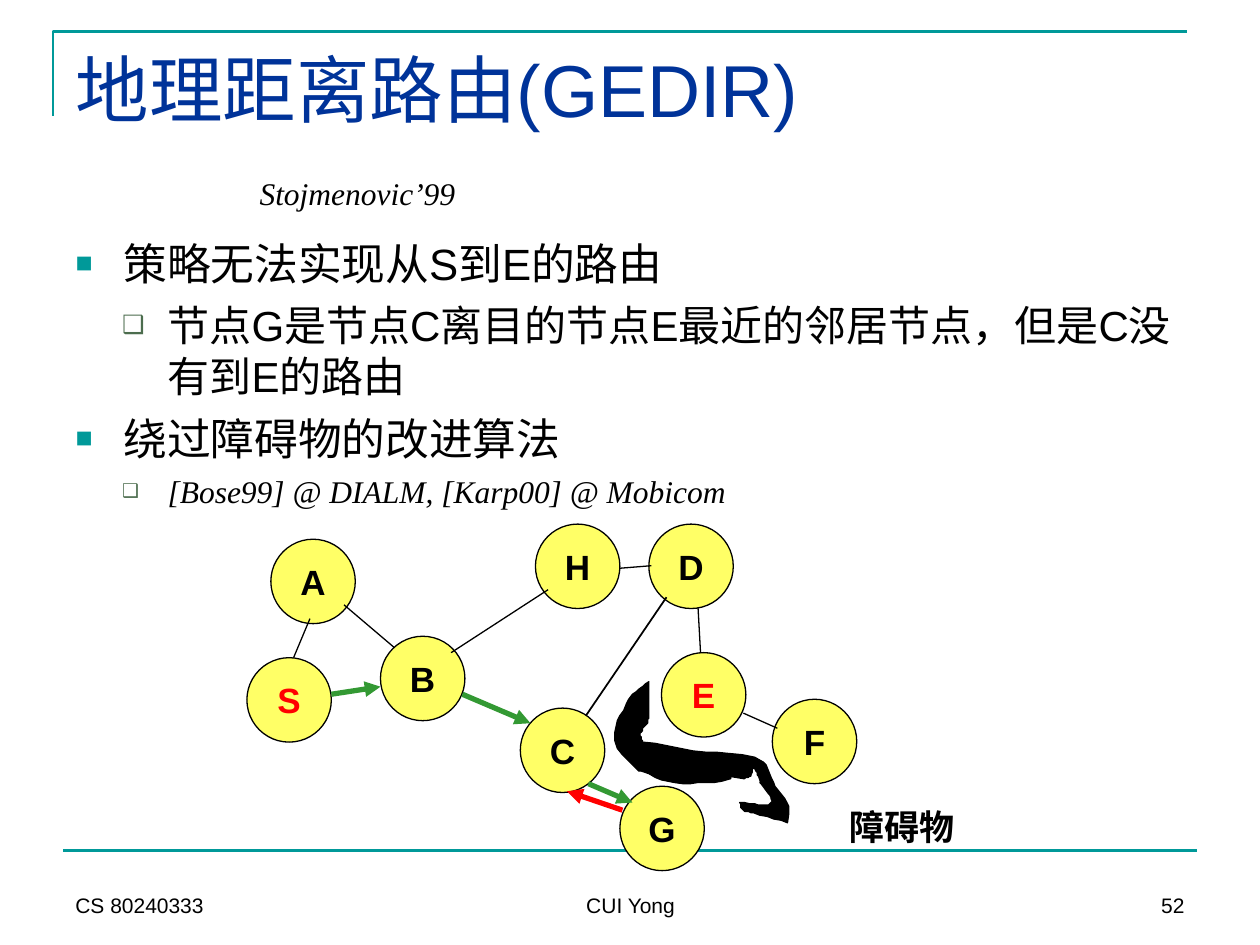
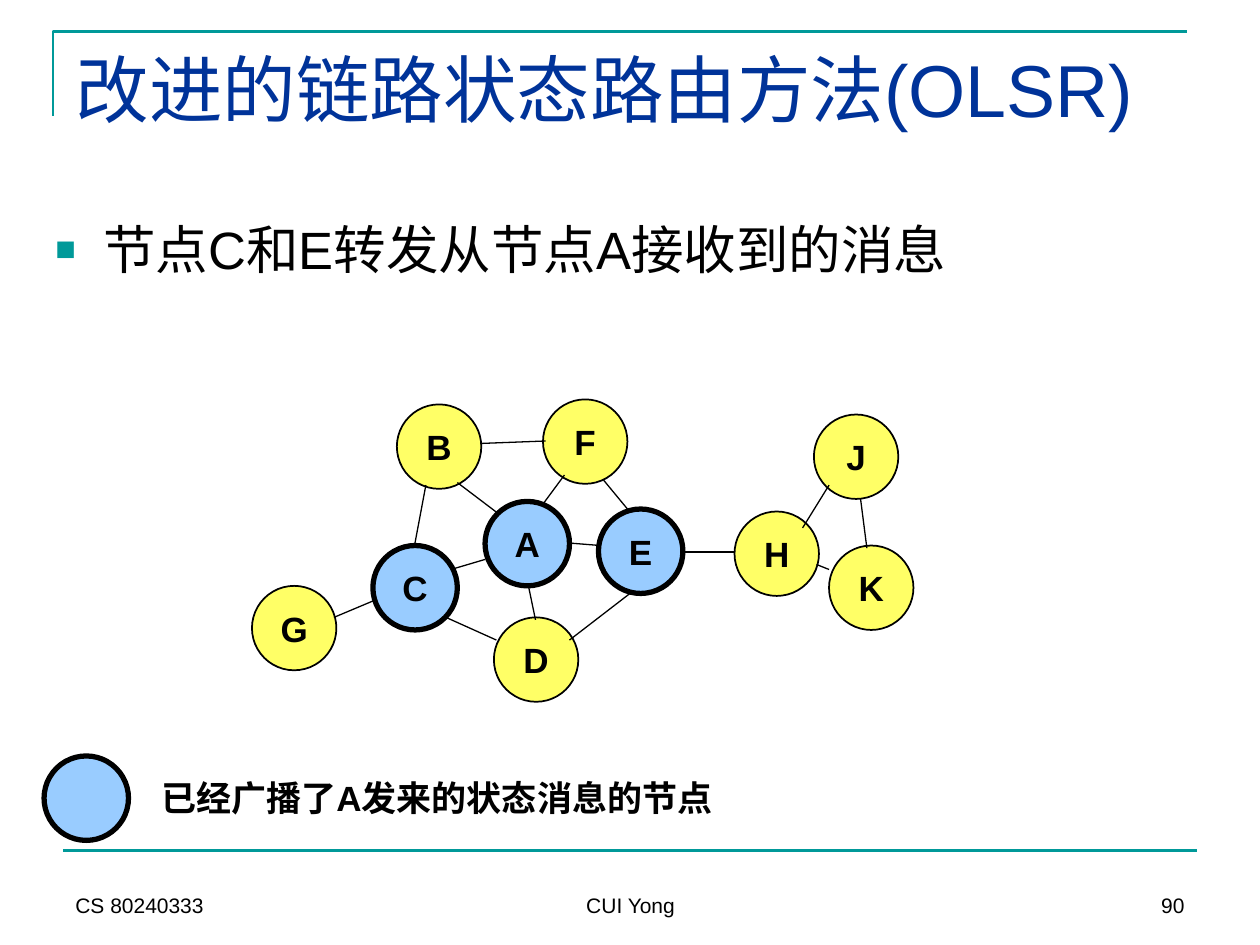
from dataclasses import dataclass

from lxml.etree import SubElement
from pptx import Presentation
from pptx.dml.color import RGBColor
from pptx.enum.shapes import MSO_CONNECTOR, MSO_SHAPE
from pptx.enum.text import MSO_ANCHOR, MSO_AUTO_SIZE, PP_ALIGN
from pptx.oxml.ns import qn
from pptx.util import Pt

EMU_PER_PX = 9144
NODE_SIZE = 67
CURVE_STEPS = 5


@dataclass(frozen=True)
class Theme:
    ink: str = "000000"
    title: str = "003399"
    accent: str = "009999"
    sub_bullet: str = "4C6D4E"
    node: str = "FFFF66"
    sender: str = "99CCFF"
    alert: str = "FF0000"
    route: str = "339933"
    sans: str = "Arial"
    serif: str = "Times New Roman"
    title_size: int = 42
    lead_size: int = 30
    point_size: int = 25
    detail_size: int = 24
    label_size: int = 20
    citation_size: int = 18
    footer_size: int = 12
    frame_line: float = 1.5
    thin_line: float = 0.75
    node_line: float = 1
    thick_line: float = 3


def px(length):
    return length * EMU_PER_PX


def curve_points(start, curves):
    outline = []
    for first, second, end in curves:
        for step in range(1, CURVE_STEPS + 1):
            t = step / CURVE_STEPS
            weights = ((1 - t) ** 3, 3 * t * (1 - t) ** 2, 3 * t * t * (1 - t), t ** 3)
            corners = (start, first, second, end)
            outline.append(tuple(
                sum(weight * corner[axis] for weight, corner in zip(weights, corners))
                for axis in (0, 1)))
        start = end
    return outline


class Deck:
    def __init__(self, theme):
        self.theme = theme
        self.presentation = Presentation()
        self.presentation.slide_width = px(1000)
        self.presentation.slide_height = px(750)
        self.slide = None

    def new_slide(self, number):
        self.slide = self.presentation.slides.add_slide(self.presentation.slide_layouts[1])
        theme = self.theme
        self.outline((42, 92), [(42, 25), (942, 25)], theme.accent, theme.frame_line)
        self.link((50, 675), (950, 675), theme.accent, theme.frame_line)
        footers = (
            (50, 233, "CS 80240333", PP_ALIGN.LEFT),
            (342, 317, "CUI Yong", PP_ALIGN.CENTER),
            (717, 233, number, PP_ALIGN.RIGHT),
        )
        for left, width, words, align in footers:
            footer = self.text_box(left, 683, width, 50, MSO_ANCHOR.BOTTOM)
            footer.word_wrap = True
            footer.paragraphs[0].alignment = align
            self.run(footer.paragraphs[0], words, theme.footer_size)

    def run(self, paragraph, words, size, color=None, serif=False, bold=False):
        run = paragraph.add_run()
        run.text = words
        font = run.font
        font.name = self.theme.serif if serif else self.theme.sans
        font.size = Pt(size)
        font.bold = bold
        font.italic = serif
        font.color.rgb = RGBColor.from_string(color or self.theme.ink)

    def text_box(self, left, top, width, height, anchor):
        frame = self.slide.shapes.add_textbox(px(left), px(top), px(width), px(height)).text_frame
        frame.vertical_anchor = anchor
        return frame

    def fill_placeholder(self, holder, left, top, width, height):
        holder.left, holder.top = px(left), px(top)
        holder.width, holder.height = px(width), px(height)
        frame = holder.text_frame
        frame.vertical_anchor = MSO_ANCHOR.TOP
        frame.auto_size = MSO_AUTO_SIZE.NONE
        frame.word_wrap = True
        return frame

    def title(self, words, height, citation=None):
        theme = self.theme
        frame = self.fill_placeholder(self.slide.shapes.title, 50, 30, 900, height)
        heading = frame.paragraphs[0]
        heading.alignment = PP_ALIGN.LEFT
        self.run(heading, words, theme.title_size, theme.title)
        if citation:
            source = frame.add_paragraph()
            source.alignment = PP_ALIGN.LEFT
            source.space_before = Pt(24)
            source._p.get_or_add_pPr().set("marL", str(px(146)))
            self.run(source, citation, theme.citation_size, serif=True)

    def bullets(self, left, top, width, height, points):
        frame = self.fill_placeholder(self.slide.placeholders[1], left, top, width, height)
        for index, (level, words, size, serif) in enumerate(points):
            point = frame.add_paragraph() if index else frame.paragraphs[0]
            point.level = level
            self.bullet_mark(point, level)
            point.alignment = PP_ALIGN.LEFT
            point.space_before = Pt(size / 4 if index else 0)
            self.run(point, words, size, serif=serif)

    def bullet_mark(self, point, level):
        margin, hanging, mark, color, percent = (
            (38, 38, "■", self.theme.accent, 65),
            (73, 36, "❑", self.theme.sub_bullet, 60),
        )[level]
        properties = point._p.get_or_add_pPr()
        properties.set("marL", str(px(margin)))
        properties.set("indent", str(-px(hanging)))
        SubElement(SubElement(properties, qn("a:buClr")), qn("a:srgbClr"), val=color)
        SubElement(properties, qn("a:buSzPct"), val=str(percent * 1000))
        SubElement(properties, qn("a:buFont"), typeface=self.theme.sans)
        SubElement(properties, qn("a:buChar"), char=mark)

    def node(self, left, top, name="", color=None, fill=None, line=None):
        theme = self.theme
        circle = self.slide.shapes.add_shape(
            MSO_SHAPE.OVAL, px(left), px(top), px(NODE_SIZE), px(NODE_SIZE))
        self.paint(circle, line or theme.thin_line, fill=fill or theme.node)
        if name:
            frame = circle.text_frame
            frame.word_wrap = False
            frame.vertical_anchor = MSO_ANCHOR.MIDDLE
            frame.paragraphs[0].alignment = PP_ALIGN.CENTER
            self.run(frame.paragraphs[0], name, theme.label_size, color, bold=True)

    def paint(self, shape, width, color=None, fill=None):
        shape.shadow.inherit = False
        shape.line.color.rgb = RGBColor.from_string(color or self.theme.ink)
        shape.line.width = Pt(width)
        if fill:
            shape.fill.solid()
            shape.fill.fore_color.rgb = RGBColor.from_string(fill)
        else:
            shape.fill.background()

    def link(self, start, end, color=None, width=None, arrow=False):
        line = self.slide.shapes.add_connector(
            MSO_CONNECTOR.STRAIGHT, *(px(value) for value in (*start, *end)))
        line.line.color.rgb = RGBColor.from_string(color or self.theme.ink)
        line.line.width = Pt(width or self.theme.thin_line)
        if arrow:
            SubElement(line.line._get_or_add_ln(), qn("a:tailEnd"), type="triangle")
        SubElement(line._element.spPr, qn("a:effectLst"))

    def outline(self, start, points, color, width, fill=None):
        builder = self.slide.shapes.build_freeform(*start, scale=EMU_PER_PX)
        builder.add_line_segments(points, close=bool(fill))
        self.paint(builder.convert_to_shape(), width, color, fill)

    def label(self, left, top, width, words):
        frame = self.text_box(left, top, width, 44, MSO_ANCHOR.MIDDLE)
        frame.word_wrap = False
        frame.auto_size = MSO_AUTO_SIZE.NONE
        self.run(frame.paragraphs[0], words, self.theme.label_size, bold=True)


def build_gedir(deck):
    theme = deck.theme
    deck.new_slide("52")
    deck.title("地理距离路由(GEDIR)", 153, "Stojmenovic’99")
    deck.bullets(50, 183, 900, 233, (
        (0, "策略无法实现从S到E的路由", theme.point_size, False),
        (1, "节点G是节点C离目的节点E最近的邻居节点，但是C没有到E的路由", theme.detail_size, False),
        (0, "绕过障碍物的改进算法", theme.point_size, False),
        (1, "[Bose99] @ DIALM, [Karp00] @ Mobicom", theme.citation_size, True),
    ))
    nodes = {
        "S": (196, 522), "A": (215, 428), "B": (302, 505), "D": (515, 416), "C": (413, 562),
        "F": (613, 555), "E": (525, 518), "H": (425, 416), "G": (492, 624),
    }
    for name, place in nodes.items():
        deck.node(*place, name, theme.alert if name in "SE" else theme.ink)
    neighbours = (
        ((233, 522), (246, 491)), ((273, 480), (313, 514)), ((554, 482), (556, 518)),
        ((590, 566), (617, 578)), ((358, 518), (435, 468)), ((492, 451), (517, 449)),
    )
    for start, end in neighbours:
        deck.link(start, end)
    deck.link((465, 568), (529, 474), width=theme.node_line)
    hops = (
        ((263, 551), (302, 545), theme.route), ((367, 551), (421, 574), theme.route),
        ((467, 622), (502, 637), theme.route), ((494, 643), (450, 628), theme.alert),
    )
    for start, end, color in hops:
        deck.link(start, end, color, theme.thick_line, arrow=True)
    obstacle_top = (515, 541)
    obstacle_curves = (
        ((511, 545), (506, 547), (502, 551)), ((497, 557), (494, 566), (490, 572)),
        ((486, 590), (487, 594), (500, 605)), ((511, 614), (501, 610), (515, 614)),
        ((524, 620), (530, 620), (542, 622)), ((552, 621), (563, 622), (573, 620)),
        ((595, 616), (559, 612), (590, 618)), ((592, 617), (594, 617), (596, 616)),
        ((597, 614), (596, 610), (598, 610)), ((600, 610), (601, 614), (602, 616)),
        ((610, 632), (595, 610), (610, 630)), ((611, 632), (614, 635), (612, 637)),
        ((611, 639), (608, 639), (606, 639)), ((600, 639), (594, 637), (587, 637)),
        ((588, 639), (588, 641), (590, 643)), ((592, 645), (595, 644), (598, 645)),
        ((607, 648), (616, 650), (625, 653)), ((629, 640), (623, 633), (615, 624)),
        ((614, 621), (608, 607), (606, 605)), ((597, 596), (571, 598), (560, 597)),
        ((544, 595), (527, 591), (510, 589)), ((510, 587), (508, 585), (508, 582)),
        ((509, 580), (511, 578), (512, 576)), ((514, 574), (514, 572), (515, 570)),
        ((515, 565), (515, 560), (515, 555)),
    )
    deck.outline(obstacle_top, curve_points(obstacle_top, obstacle_curves),
                 theme.ink, theme.thin_line, theme.ink)
    deck.label(664, 634, 108, "障碍物")


def build_olsr(deck):
    theme = deck.theme
    deck.new_slide("90")
    deck.title("改进的链路状态路由方法(OLSR)", 125)
    deck.bullets(34, 167, 915, 125, (
        (0, "节点C和E转发从节点A接收到的消息", theme.lead_size, False),
    ))
    nodes = {
        "A": (385, 398), "B": (315, 321), "F": (431, 317), "C": (296, 433), "D": (392, 490),
        "E": (475, 404), "H": (583, 406), "G": (200, 465), "K": (658, 433), "J": (646, 329),
    }
    sender_style = {"fill": theme.sender, "line": theme.thick_line}
    plain_style = {"fill": theme.node, "line": theme.node_line}
    for name, place in nodes.items():
        deck.node(*place, name, **(sender_style if name in "ACE" else plain_style))
    neighbours = (
        ((265, 490), (296, 477)), ((363, 383), (396, 408)), ((358, 452), (385, 444)),
        ((419, 463), (425, 492)), ((431, 400), (448, 377)), ((452, 431), (477, 433)),
        ((542, 438), (583, 438)), ((658, 385), (637, 419)), ((648, 448), (658, 452)),
        ((683, 396), (688, 435)), ((338, 385), (329, 433)), ((381, 352), (433, 350)),
        ((479, 381), (498, 404)), ((354, 490), (394, 508)), ((500, 471), (452, 508)),
    )
    for start, end in neighbours:
        deck.link(start, end)
    deck.node(35, 600, **sender_style)
    deck.label(118, 611, 475, "已经广播了A发来的状态消息的节点")


def main():
    deck = Deck(Theme())
    build_gedir(deck)
    build_olsr(deck)
    deck.presentation.save("out.pptx")


if __name__ == "__main__":
    main()
